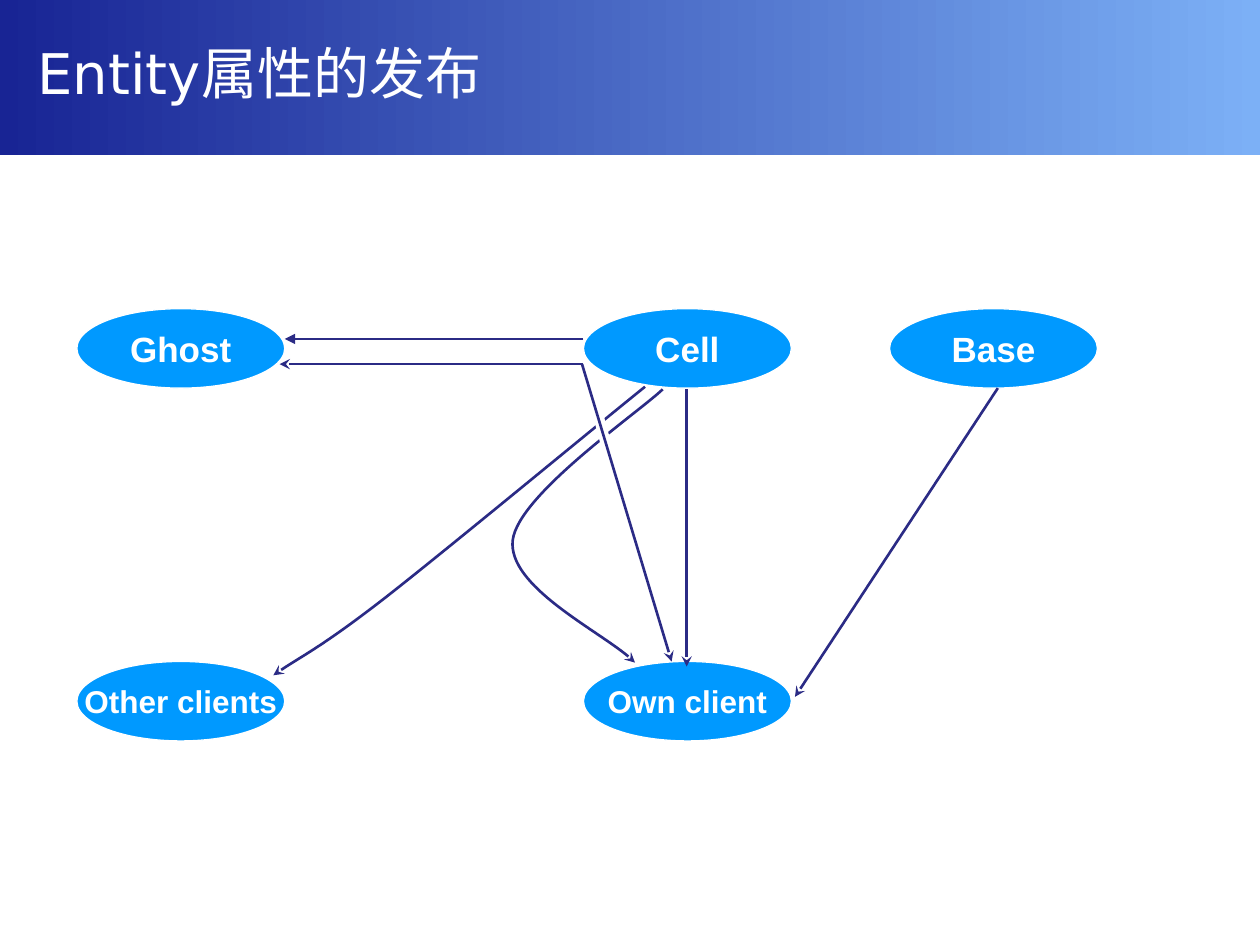
from lxml import etree
from pptx import Presentation
from pptx.dml.color import RGBColor
from pptx.enum.shapes import MSO_CONNECTOR, MSO_SHAPE
from pptx.enum.text import MSO_ANCHOR, PP_ALIGN
from pptx.oxml.ns import qn
from pptx.util import Pt

STRAIGHT = MSO_CONNECTOR.STRAIGHT
RECTANGLE, OVAL = MSO_SHAPE.RECTANGLE, MSO_SHAPE.OVAL
MIDDLE, CENTER = MSO_ANCHOR.MIDDLE, PP_ALIGN.CENTER

COLORS = {"navy": "182494", "sky": "7CB0F6", "node": "0099FF",
          "arrow": "2B2B85", "white": "FFFFFF"}
NODE_WIDTH, NODE_HEIGHT = 118.8, 45.4
COLUMNS = {"left": 43.9, "middle": 333.4, "right": 508.3}
ROWS = {"top": 176.4, "bottom": 378}
NODES = [("Ghost", "left", "top", 20),
         ("Cell", "middle", "top", 20),
         ("Base", "right", "top", 20),
         ("Other clients", "left", "bottom", 18),
         ("Own client", "middle", "bottom", 18)]


def color(name):
    return RGBColor.from_string(COLORS[name])


def write(shape, text, font_format):
    paragraph = shape.text_frame.paragraphs[0]
    run = paragraph.add_run()
    run.text = text
    for name, value in font_format.items():
        setattr(run.font, name, value)
    run.font.color.rgb = color("white")
    return paragraph


def add_header(slide, title):
    band = slide.shapes.add_shape(RECTANGLE, 0, 0, Pt(720), Pt(88.6))
    band.shadow.inherit = False
    band.line.fill.background()
    band.fill.gradient()
    band.fill.gradient_angle = 0
    for stop, name in zip(band.fill.gradient_stops, ("navy", "sky")):
        stop.color.rgb = color(name)

    heading = slide.shapes.add_textbox(Pt(14.4), 0, Pt(689), Pt(82.8))
    frame_format = {"word_wrap": True, "vertical_anchor": MIDDLE,
                    "margin_top": Pt(2.9), "margin_bottom": Pt(3.6)}
    for name, value in frame_format.items():
        setattr(heading.text_frame, name, value)
    write(heading, title, {"name": "DejaVu Sans", "size": Pt(32)})


def add_node(slide, label, column, row, size):
    node = slide.shapes.add_shape(OVAL, Pt(COLUMNS[column]), Pt(ROWS[row]),
                                  Pt(NODE_WIDTH), Pt(NODE_HEIGHT))
    node.shadow.inherit = False
    node.fill.solid()
    node.fill.fore_color.rgb = color("node")
    node.line.color.rgb = color("white")
    node.line.width = Pt(0.75)
    node.text_frame.word_wrap = False
    node.text_frame.vertical_anchor = MIDDLE
    paragraph = write(node, label,
                      {"name": "Arial", "size": Pt(size), "bold": True})
    paragraph.alignment = CENTER


def style_line(shape, name="arrow", width=1.5, tip="stealth"):
    shape.line.color.rgb = color(name)
    shape.line.width = Pt(width)
    if tip:
        outline = shape._element.spPr.find(qn("a:ln"))
        etree.SubElement(outline, qn("a:tailEnd"), type=tip)


def add_line(slide, start, end, **line_format):
    line = slide.shapes.add_connector(STRAIGHT, *map(Pt, start + end))
    style_line(line, **line_format)
    etree.SubElement(line._element.spPr, qn("a:effectLst"))


def add_curve(slide, start, *points):
    """Draw a Bezier arrow; each three points are two controls and an end."""
    builder = slide.shapes.build_freeform(*map(Pt, start))
    builder.add_line_segments([tuple(map(Pt, p)) for p in points], close=False)
    curve = builder.convert_to_shape()
    curve.shadow.inherit = False
    curve.fill.background()
    style_line(curve)
    outline = next(curve._element.iter(qn("a:path")))
    segments = outline.findall(qn("a:lnTo"))
    for first in range(0, len(segments), 3):
        bezier = etree.SubElement(outline, qn("a:cubicBezTo"))
        for segment in segments[first:first + 3]:
            bezier.append(segment[0])
            outline.remove(segment)


def main():
    presentation = Presentation()
    presentation.slide_width, presentation.slide_height = Pt(720), Pt(540)
    slide = presentation.slides.add_slide(presentation.slide_layouts[6])

    add_header(slide, "Entity属性的发布")
    for node in NODES:
        add_node(slide, *node)

    # Cell to Ghost
    add_line(slide, (333.4, 193.7), (162.7, 193.7), tip="triangle")
    add_line(slide, (333.4, 208.1), (159.8, 208.1))
    # Cell to Own client, and Cell to Other clients
    add_line(slide, (392.4, 222.5), (392.4, 380.9))
    add_curve(slide, (368.6, 221), (343.4, 241.2), (255.6, 313.9), (219.6, 342),
              (184.3, 369.4), (169.2, 376.6), (156.2, 385.9))
    add_curve(slide, (378.7, 222.5), (364.3, 236.2), (295.9, 283), (293, 308.9),
              (290.2, 334.8), (348.5, 363.6), (362.9, 378.7))
    # Base to Own client
    add_line(slide, (570.2, 221.8), (454.3, 398.2))
    # A white gap lets the last arrow pass over both curves
    add_line(slide, (337.7, 221.8), (351.4, 272.9),
             name="white", width=6, tip=None)
    add_line(slide, (332.6, 208.1), (383.8, 378))

    presentation.save("out.pptx")


if __name__ == "__main__":
    main()
